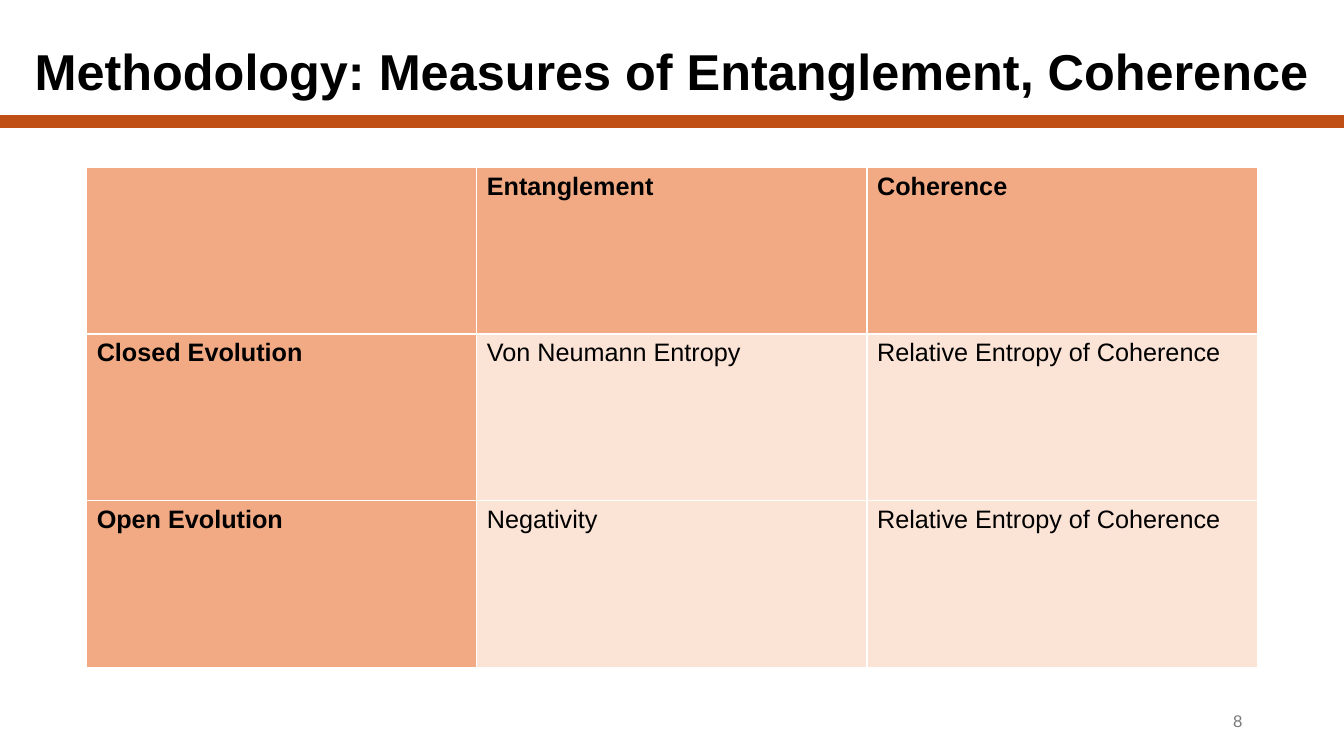
from lxml import etree
from pptx import Presentation
from pptx.dml.color import RGBColor
from pptx.enum import shapes, text
from pptx.oxml import ns
from pptx.util import Inches, Pt

BLACK = RGBColor(0x00, 0x00, 0x00)
GREY = RGBColor(0x79, 0x79, 0x79)
RUST = RGBColor(0xC0, 0x4F, 0x15)
ORANGE = RGBColor(0xF2, 0xAA, 0x84)
PEACH = RGBColor(0xFB, 0xE3, 0xD6)
WHITE = RGBColor(0xFF, 0xFF, 0xFF)

MEASURES = [
    ["", "Entanglement", "Coherence"],
    ["Closed Evolution", "Von Neumann Entropy", "Relative Entropy of Coherence"],
    ["Open Evolution", "Negativity", "Relative Entropy of Coherence"],
]


def write(frame, words, size=18, color=BLACK, bold=False,
          align=text.PP_ALIGN.LEFT, spacing=1.0):
    """Fill a text frame with one formatted paragraph."""
    paragraph = frame.paragraphs[0]
    paragraph.alignment = align
    paragraph.line_spacing = spacing
    font = paragraph.font
    if words:
        run = paragraph.add_run()
        run.text = words
        font = run.font
    font.name = "Arial"
    font.size = Pt(size)
    font.bold = bold
    font.color.rgb = color


def add_label(slide, words, left, top, width, height, **style):
    """Add a wrapped, vertically centred text box."""
    box = slide.shapes.add_textbox(
        Inches(left), Inches(top), Inches(width), Inches(height))
    box.text_frame.word_wrap = True
    box.text_frame.vertical_anchor = text.MSO_ANCHOR.MIDDLE
    write(box.text_frame, words, **style)


def add_rule(slide):
    """Add the coloured band under the title."""
    rule = slide.shapes.add_shape(
        shapes.MSO_SHAPE.RECTANGLE,
        Inches(0), Inches(1.15), Inches(13.33), Inches(0.11))
    rule.shadow.inherit = False
    rule.fill.solid()
    rule.fill.fore_color.rgb = RUST
    rule.line.color.rgb = RUST
    rule.line.width = Pt(1.5)


def set_borders(cell, color, width):
    """Draw all four sides of a table cell."""
    properties = cell._tc.get_or_add_tcPr()
    for side in ("a:lnL", "a:lnR", "a:lnT", "a:lnB"):
        line = etree.SubElement(properties, ns.qn(side), w=str(Pt(width)))
        fill = etree.SubElement(line, ns.qn("a:solidFill"))
        etree.SubElement(fill, ns.qn("a:srgbClr"), val=str(color))


def add_measures_table(slide):
    """Add the grid of measures with a header row and header column."""
    table = slide.shapes.add_table(
        len(MEASURES), len(MEASURES[0]),
        Inches(0.86), Inches(1.66), Inches(11.61), Inches(4.96)).table
    for r, measures in enumerate(MEASURES):
        for c, words in enumerate(measures):
            heading = r == 0 or c == 0
            cell = table.cell(r, c)
            set_borders(cell, WHITE, 1)
            cell.fill.solid()
            cell.fill.fore_color.rgb = ORANGE if heading else PEACH
            write(cell.text_frame, words, bold=heading)


def main():
    deck = Presentation()
    deck.slide_width, deck.slide_height = Inches(13.33), Inches(7.5)
    slide = deck.slides.add_slide(deck.slide_layouts[6])

    # Title and band
    add_label(slide, "Methodology: Measures of Entanglement, Coherence",
              0, 0.34, 13.33, 0.8, size=36, bold=True,
              align=text.PP_ALIGN.CENTER, spacing=0.9)
    add_rule(slide)

    # Measures by type of evolution
    add_measures_table(slide)

    # Slide number
    add_label(slide, "8", 9.42, 6.95, 3, 0.4, size=12, color=GREY,
              align=text.PP_ALIGN.RIGHT)

    deck.save("out.pptx")


if __name__ == "__main__":
    main()
